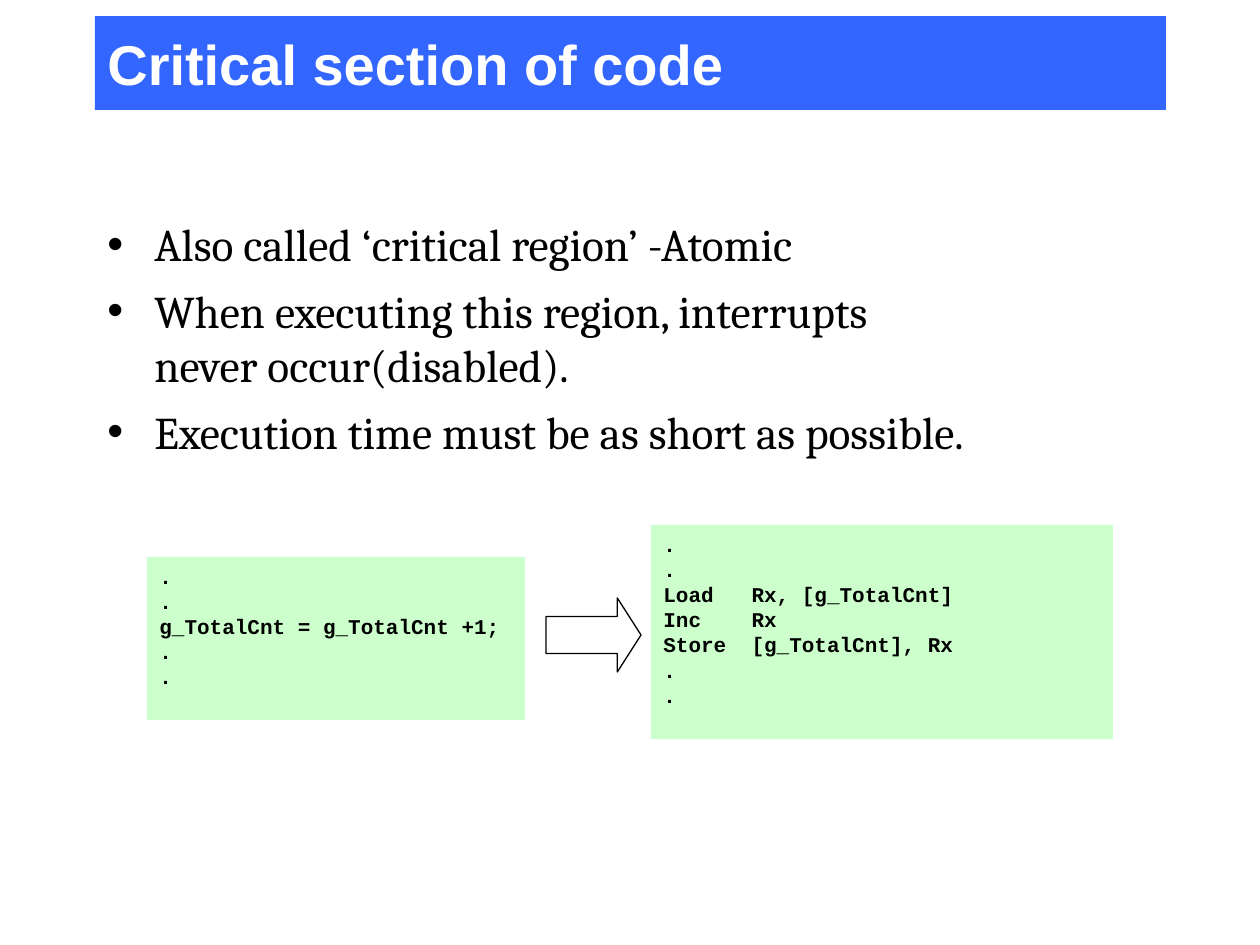
from lxml import etree
from pptx import Presentation
from pptx.dml.color import RGBColor
from pptx.enum.shapes import MSO_SHAPE
from pptx.enum.text import MSO_ANCHOR, PP_ALIGN
from pptx.oxml.ns import qn
from pptx.util import Pt

RECT, ARROW = MSO_SHAPE.RECTANGLE, MSO_SHAPE.RIGHT_ARROW
TOP, MIDDLE = MSO_ANCHOR.TOP, MSO_ANCHOR.MIDDLE
LEFT = PP_ALIGN.LEFT
EMU_PER_PX = 914400 / 126

COLORS = {"title": "3366FF", "code": "CCFFCC", "ink": "000000", "white": "FFFFFF"}

BULLETS = [
    "Also called ‘critical region’ -Atomic",
    "When executing this region, interrupts\nnever occur(disabled).",
    "Execution time must be as short as possible.",
]
SOURCE_CODE = [".", ".", "g_TotalCnt = g_TotalCnt +1;", ".", "."]
ASSEMBLY = [
    ".",
    ".",
    "Load   Rx, [g_TotalCnt]",
    "Inc    Rx",
    "Store  [g_TotalCnt], Rx",
    ".",
    ".",
]


def px(n):
    return round(n * EMU_PER_PX)


def rgb(name):
    return RGBColor.from_string(COLORS[name])


class Deck:
    def __init__(self, width, height):
        self.prs = Presentation()
        self.prs.slide_width, self.prs.slide_height = px(width), px(height)
        self.s = self.prs.slides.add_slide(self.prs.slide_layouts[6])

    def set_lines(self, sp, lines, font, size, color="ink", bold=False, anchor=TOP):
        """Put one paragraph per line into a shape and return the paragraphs."""
        tf = sp.text_frame
        tf.word_wrap = True
        tf.vertical_anchor = anchor
        for i, line in enumerate(lines):
            p = tf.paragraphs[0] if i == 0 else tf.add_paragraph()
            p.text = line
            p.alignment = LEFT
            for r in p.runs:
                r.font.name, r.font.size, r.font.bold = font, Pt(size), bold
                r.font.color.rgb = rgb(color)
        return tf.paragraphs

    def panel(self, x, y, w, h, fill):
        sp = self.s.shapes.add_shape(RECT, px(x), px(y), px(w), px(h))
        sp.shadow.inherit = False
        sp.fill.solid()
        sp.fill.fore_color.rgb = rgb(fill)
        sp.line.fill.background()
        return sp

    def title(self, x, y, w, h, text):
        sp = self.panel(x, y, w, h, "title")
        self.set_lines(sp, [text], "Arial", 32, "white", True, MIDDLE)

    def bullets(self, x, y, w, h, lines, indent=47):
        sp = self.s.shapes.add_textbox(px(x), px(y), px(w), px(h))
        for i, p in enumerate(self.set_lines(sp, lines, "Cambria", 25.9)):
            pPr = p._p.get_or_add_pPr()
            pPr.set("marL", str(px(indent)))
            pPr.set("indent", str(-px(indent)))
            etree.SubElement(pPr, qn("a:buFont")).set("typeface", "Arial")
            etree.SubElement(pPr, qn("a:buChar")).set("char", "•")
            if i:
                p.space_before = Pt(7)

    def code(self, x, y, w, h, lines):
        sp = self.panel(x, y, w, h, "code")
        self.set_lines(sp, lines, "Courier New", 12, bold=True)

    def arrow(self, x, y, w, h):
        sp = self.s.shapes.add_shape(ARROW, px(x), px(y), px(w), px(h))
        sp.shadow.inherit = False
        sp.adjustments[0], sp.adjustments[1] = 0.5, 0.32
        sp.fill.background()
        sp.line.color.rgb = rgb("ink")
        sp.line.width = Pt(0.75)


def main():
    deck = Deck(1260, 945)
    deck.title(95, 16, 1071, 94, "Critical section of code")
    deck.bullets(95, 210, 1071, 273, BULLETS)
    deck.code(147, 557, 378, 163, SOURCE_CODE)
    deck.code(651, 525, 462, 214, ASSEMBLY)
    deck.arrow(546, 598, 95, 74)
    deck.prs.save("out.pptx")


if __name__ == "__main__":
    main()
